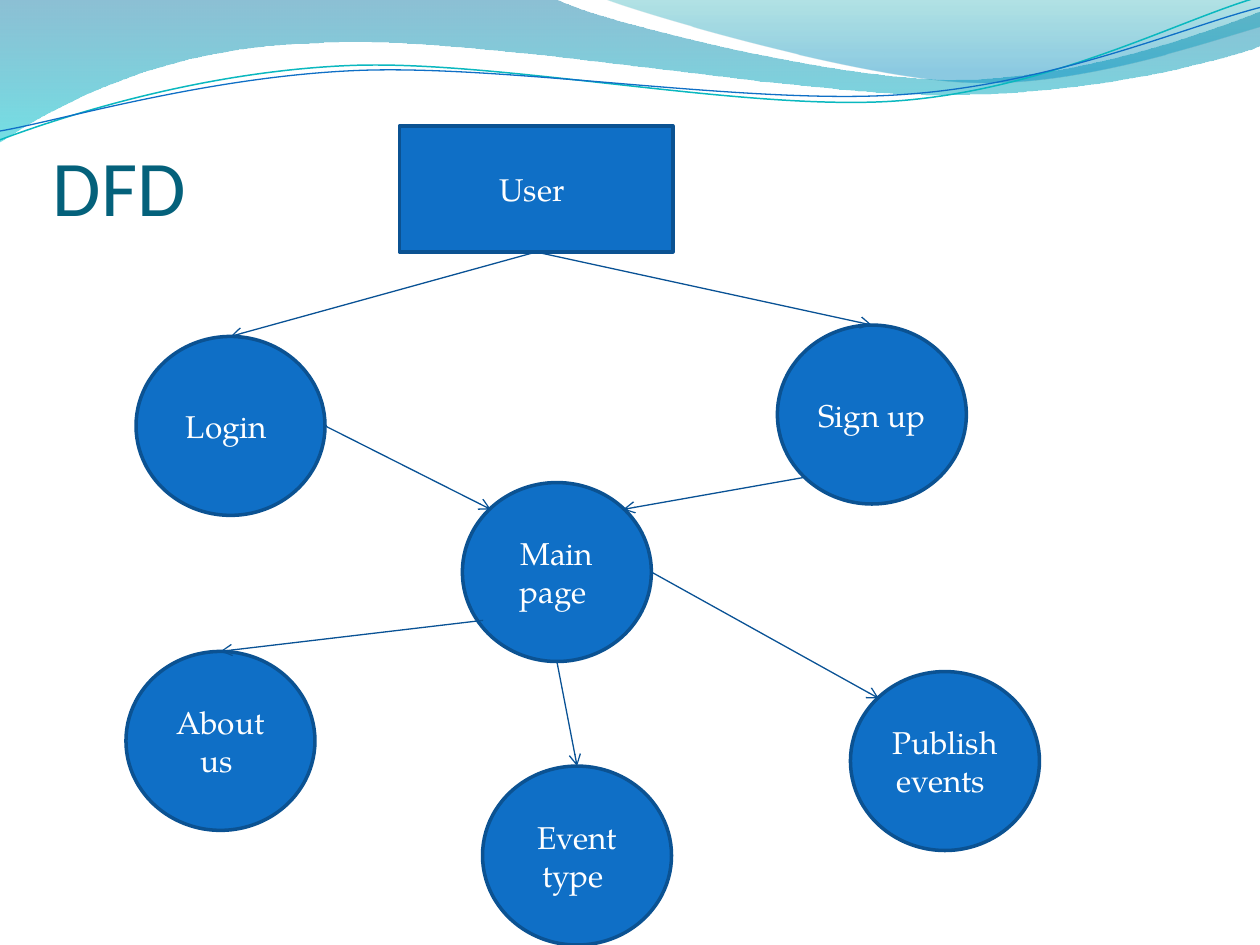
from math import cos, radians, sin

from lxml import etree
from pptx import Presentation
from pptx import util as u
from pptx.dml.color import RGBColor
from pptx.enum import shapes, text
from pptx.oxml import ns

BLUE = RGBColor(0x0F, 0x6F, 0xC6)
EDGE = RGBColor(0x0B, 0x52, 0x92)
LINK = RGBColor(0x09, 0x52, 0x95)
TITLE = RGBColor(0x04, 0x61, 0x7B)
TEAL = RGBColor(0x0A, 0xB8, 0xBF)
WHITE = RGBColor(0xFF, 0xFF, 0xFF)
SEA = RGBColor(0x00, 0x74, 0xA1)
AQUA = RGBColor(0x00, 0xC6, 0xCF)
MINT = RGBColor(0x00, 0xA1, 0xA9)
SKY = RGBColor(0x00, 0x8B, 0xBF)

# Bands: outline (1 point: line, 3 points: curve), stops (position, colour, alpha %)
BANDS = [
    ([[(0, 0)], [(4.4, -0.01)],
      [(4.76, 0.17), (6.64, 0.63), (7.58, 0.63)],
      [(8.53, 0.63), (9.58, 0.26), (10, 0.09)], [(10.01, 0.36)],
      [(9.83, 0.44), (8.7, 0.76), (7.46, 0.75)],
      [(6.22, 0.75), (3.82, 0.28), (2.57, 0.34)],
      [(1.29, 0.36), (0.46, 0.83), (-0.01, 1.13)]],
     [(0, SEA, 45), (1, AQUA, 55)]),
    ([[(4.79, -0.01)], [(5.09, 0.11), (6.82, 0.62), (7.69, 0.65)],
      [(8.56, 0.69), (9.61, 0.32), (10, 0.21)], [(10, 0)]],
     [(0, MINT, 30), (0.8, SKY, 45)]),
]
# Waves: outline, centre, colour, width
WAVES = [
    ([[(0, 1.11)], [(0.48, 0.93), (1.58, 0.57), (2.77, 0.52)],
      [(3.95, 0.47), (5.93, 0.89), (7.13, 0.8)],
      [(8.33, 0.71), (9.38, 0.15), (9.98, -0.02)]],
     (4.99, 0.57), TEAL, 0.85),
    ([[(0, 1.04)], [(0.47, 0.96), (1.64, 0.61), (2.83, 0.56)],
      [(4.03, 0.51), (5.97, 0.84), (7.17, 0.75)],
      [(8.36, 0.67), (9.41, 0.21), (10, 0.06)]],
     (5, 0.59), BLUE, 0.75),
]
TILT = -2.7
USER = (3.17, 1, 2.17, 1)
SIZE = (1.5, 1.42)
NODES = {
    "Login": (1.08, 2.67), "Sign up": (6.17, 2.58), "Main page": (3.67, 3.83),
    "About us": (1, 5.17), "Event type": (3.83, 6.08), "Publish events": (6.75, 5.33),
}
# Points on a circle, as parts of its width and height
TOP, RIGHT, LOW = (0.5, 0), (1, 0.5), (0.5, 1)
TOP_L, TOP_R, LOW_L = (0.15, 0.15), (0.85, 0.15), (0.15, 0.85)
LINKS = [
    ("User", LOW, "Login", TOP), ("User", LOW, "Sign up", TOP),
    ("Login", RIGHT, "Main page", TOP_L), ("Sign up", LOW_L, "Main page", TOP_R),
    ("Main page", (0.11, 0.77), "About us", TOP), ("Main page", LOW, "Event type", TOP),
    ("Main page", RIGHT, "Publish events", TOP_L),
]


def outline(slide, path, close):
    """Draw a freeform, joining each three-point segment into a cubic curve."""
    pts = [(u.Inches(x), u.Inches(y)) for seg in path for x, y in seg]
    form = slide.shapes.build_freeform(*pts[0])
    form.add_line_segments(pts[1:], close=close)
    shape = form.convert_to_shape()
    shape.shadow.inherit = False
    legs = iter(list(shape._element.spPr.iter(ns.qn("a:lnTo"))))
    for seg in path[1:]:
        group = [next(legs) for _ in seg]
        if len(group) == 3:
            curve = etree.Element(ns.qn("a:cubicBezTo"))
            group[0].addprevious(curve)
            for leg in group:
                curve.append(leg[0])
                leg.getparent().remove(leg)
    return shape


def band(slide, path, stops):
    shape = outline(slide, path, True)
    shape.line.fill.background()
    shape.fill.gradient()
    shape.fill.gradient_angle = 270
    for stop, (pos, color, _) in zip(shape.fill.gradient_stops, stops):
        stop.position = pos
        stop.color.rgb = color
    tints = shape._element.spPr.iter(ns.qn("a:srgbClr"))
    for tint, (_, _, alpha) in zip(tints, stops):
        etree.SubElement(tint, ns.qn("a:alpha"), val=str(alpha * 1000))


def turn(point, mid, angle):
    dx, dy = point[0] - mid[0], point[1] - mid[1]
    c, s = cos(radians(angle)), sin(radians(angle))
    return mid[0] + dx * c - dy * s, mid[1] + dx * s + dy * c


def wave(slide, path, mid, color, width):
    """Draw the wave level, then tilt the whole shape."""
    level = [[turn(p, mid, -TILT) for p in seg] for seg in path]
    shape = outline(slide, level, False)
    shape.rotation = TILT
    shape.fill.background()
    shape.line.color.rgb = color
    shape.line.width = u.Pt(width)


def write(par, words, font, size, color):
    run = par.add_run()
    run.text = words
    run.font.name = font
    run.font.size = u.Pt(size)
    run.font.color.rgb = color


def title(slide, box, words):
    frame = slide.shapes.add_textbox(*map(u.Inches, box)).text_frame
    frame.word_wrap = True
    frame.vertical_anchor = text.MSO_ANCHOR.BOTTOM
    frame.margin_left = frame.margin_right = frame.margin_bottom = 0
    write(frame.paragraphs[0], words, "Calibri", 45, TITLE)


def node(slide, kind, box, words):
    shape = slide.shapes.add_shape(kind, *map(u.Inches, box))
    shape.shadow.inherit = False
    shape.fill.solid()
    shape.fill.fore_color.rgb = BLUE
    shape.line.color.rgb = EDGE
    shape.line.width = u.Pt(2)
    frame = shape.text_frame
    frame.word_wrap = True
    frame.vertical_anchor = text.MSO_ANCHOR.MIDDLE
    par = frame.paragraphs[0]
    par.alignment = text.PP_ALIGN.CENTER
    write(par, words + " ", "TeX Gyre Pagella", 18, WHITE)
    return shape


def spot(shape, part):
    return (int(shape.left + part[0] * shape.width),
            int(shape.top + part[1] * shape.height))


def link(slide, start, out, end, into):
    line = slide.shapes.add_connector(
        shapes.MSO_CONNECTOR.STRAIGHT, *spot(start, out), *spot(end, into))
    if start.auto_shape_type == shapes.MSO_SHAPE.RECTANGLE:
        line.begin_connect(start, 2)
    if into == TOP:
        line.end_connect(end, 0)
    line.line.color.rgb = LINK
    line.line.width = u.Pt(0.75)
    etree.SubElement(line.line._get_or_add_ln(), ns.qn("a:tailEnd"), type="arrow")
    etree.SubElement(line._element.spPr, ns.qn("a:effectLst"))


def header(slide):
    for path, stops in BANDS:
        band(slide, path, stops)
    for path, mid, color, width in WAVES:
        wave(slide, path, mid, color, width)


def diagram(slide):
    made = {"User": node(slide, shapes.MSO_SHAPE.RECTANGLE, USER, "User")}
    for name, place in NODES.items():
        made[name] = node(
            slide, shapes.MSO_SHAPE.FLOWCHART_CONNECTOR, place + SIZE, name)
    for start, out, end, into in LINKS:
        link(slide, made[start], out, made[end], into)


def main():
    deck = Presentation()
    deck.slide_width, deck.slide_height = u.Inches(10), u.Inches(7.5)
    slide = deck.slides.add_slide(deck.slide_layouts[6])
    header(slide)
    title(slide, (0.42, 1.17, 9.08, 0.67), "DFD")
    diagram(slide)
    deck.save("out.pptx")


if __name__ == "__main__":
    main()
